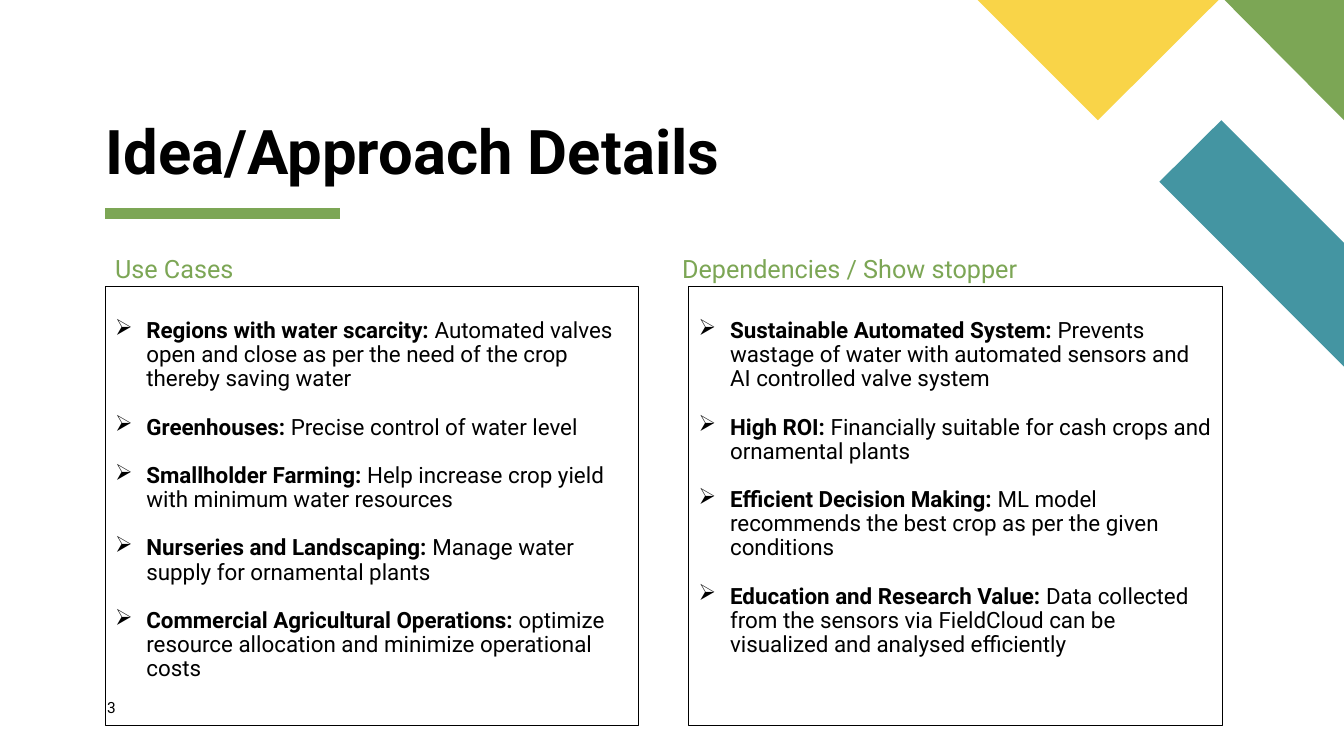
import pptx
import pptx.dml.color
import pptx.enum.shapes
import pptx.enum.text
import pptx.oxml
import pptx.oxml.ns
import pptx.util
from lxml import etree

Cm, Pt = pptx.util.Cm, pptx.util.Pt
GREEN, BLACK = "7CA655", "000000"


def rgb(value):
    return pptx.dml.color.RGBColor.from_string(value)


def style(tf, size, color=BLACK, inset_x=0, inset_y=0):
    """Frame settings, and one font for every paragraph."""
    tf.word_wrap = True
    tf.auto_size = pptx.enum.text.MSO_AUTO_SIZE.NONE
    tf.margin_left = tf.margin_right = Cm(inset_x)
    tf.margin_top = tf.margin_bottom = Cm(inset_y)
    for p in tf.paragraphs:
        p.alignment = pptx.enum.text.PP_ALIGN.LEFT
        p.line_spacing = 0.9
        p.font.name = "Roboto"
        p.font.size = Pt(size)
        p.font.color.rgb = rgb(color)


prs = pptx.Presentation()
prs.slide_width, prs.slide_height = Cm(33.87), Cm(19.05)
s = prs.slides.add_slide(prs.slide_layouts[5])

# Corner decoration
corner_shapes = [
    ("4495A2", [(33.87, 9.24), (33.87, 6.12), (30.78, 3.03), (29.22, 4.58)]),
    (GREEN, [(33.87, 3.03), (33.87, 0), (30.86, 0)]),
    ("F9D448", [(24.64, 0), (27.67, 3.03), (30.71, 0)]),
]
for color, points in corner_shapes:
    points = [(Cm(x), Cm(y)) for x, y in points]
    builder = s.shapes.build_freeform(*points[0])
    builder.add_line_segments(points[1:], close=True)
    sp = builder.convert_to_shape()
    sp.shadow.inherit = False
    sp.fill.solid()
    sp.fill.fore_color.rgb = rgb(color)
    sp.line.fill.background()

# Title and its rule
title = s.shapes.title
title.left, title.top, title.width, title.height = Cm(2.66), Cm(3.03), Cm(16.05), Cm(1.7)
tf = title.text_frame
tf.text = "Idea/Approach Details"
tf.vertical_anchor = pptx.enum.text.MSO_ANCHOR.BOTTOM
style(tf, 44)
tf.paragraphs[0].font.bold = True

rule = s.shapes.add_connector(
    pptx.enum.shapes.MSO_CONNECTOR.STRAIGHT, Cm(2.65), Cm(5.39), Cm(8.58), Cm(5.39))
rule.line.color.rgb = rgb(GREEN)
rule.line.width = Pt(8)
etree.SubElement(rule._element.spPr, pptx.oxml.ns.qn("a:effectLst"))

# Two columns: heading left, box left, heading, points
columns = [
    (2.65, 2.65, "Use Cases", [
        ("Regions with water scarcity: ",
         "Automated valves open and close as per the need of the crop thereby saving water"),
        ("Greenhouses: ", "Precise control of water level"),
        ("Smallholder Farming: ", "Help increase crop yield with minimum water resources"),
        ("Nurseries and Landscaping: ", "Manage water supply for ornamental plants"),
        ("Commercial Agricultural Operations: ",
         "optimize resource allocation and minimize operational costs"),
    ]),
    (16.94, 17.36, "Dependencies / Show stopper", [
        ("Sustainable Automated System: ",
         "Prevents wastage of water with automated sensors and AI controlled valve system"),
        ("High ROI: ", "Financially suitable for cash crops and ornamental plants"),
        ("Efficient Decision Making: ",
         "ML model recommends the best crop as per the given conditions"),
        ("Education and Research Value: ",
         "Data collected from the sensors via FieldCloud can be visualized and analysed efficiently"),
    ]),
]
for heading_left, box_left, heading, points in columns:
    tf = s.shapes.add_textbox(Cm(heading_left), Cm(6.35), Cm(13.44), Cm(0.89)).text_frame
    tf.text = heading
    style(tf, 18, GREEN, 0.25, 0.13)

    sp = s.shapes.add_shape(pptx.enum.shapes.MSO_SHAPE.RECTANGLE,
                            Cm(box_left), Cm(7.23), Cm(13.44), Cm(11.05))
    sp.shadow.inherit = False
    sp.fill.background()
    sp.line.color.rgb = rgb(BLACK)
    sp.line.width = Pt(0.75)
    tf = sp.text_frame
    tf.vertical_anchor = pptx.enum.text.MSO_ANCHOR.TOP
    for i, (label, detail) in enumerate(points):
        p = tf.add_paragraph() if i else tf.paragraphs[0]
        r = p.add_run()
        r.text = label
        r.font.bold = True
        p.add_run().text = detail
    style(tf, 16, BLACK, 0.25, 0.13)
    tf.margin_top = Cm(0.81)

    # Arrowhead bullets (Ø in Wingdings) with a hanging indent
    for p in tf.paragraphs:
        p.space_after = Pt(17.3)
        pPr = p._p.get_or_add_pPr()
        pPr.set("marL", str(Cm(0.79)))
        pPr.set("indent", str(-Cm(0.79)))
        font = etree.Element(pptx.oxml.ns.qn("a:buFont"),
                             typeface="Wingdings", pitchFamily="2", charset="2")
        bullet = etree.Element(pptx.oxml.ns.qn("a:buChar"), char="Ø")
        pPr.find(pptx.oxml.ns.qn("a:spcAft")).addnext(font)
        font.addnext(bullet)

# Slide number
tf = s.shapes.add_textbox(Cm(2.7), Cm(17.5), Cm(1.45), Cm(0.69)).text_frame
tf.text = "3"
style(tf, 11)
tf.vertical_anchor = pptx.enum.text.MSO_ANCHOR.MIDDLE

prs.save("out.pptx")
